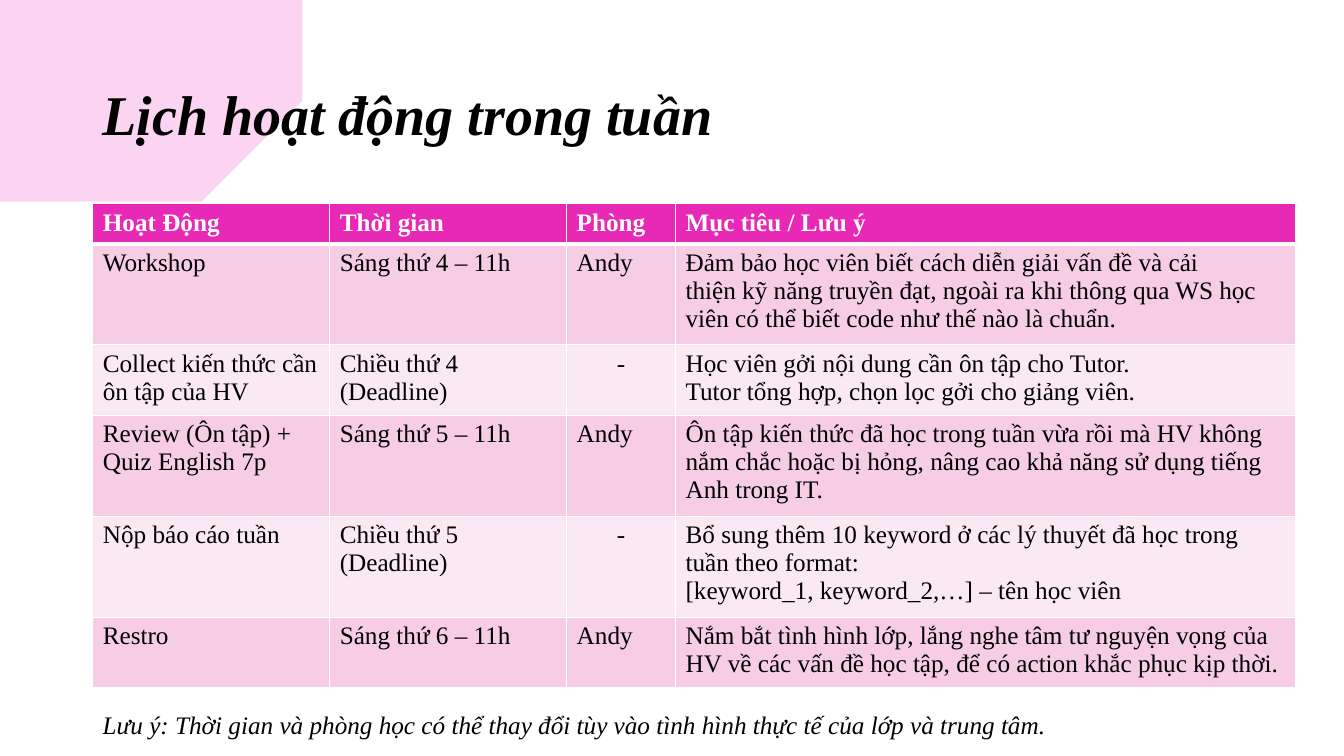
from lxml import etree
from pptx import Presentation
from pptx.dml.color import RGBColor
from pptx.enum.text import MSO_ANCHOR, PP_ALIGN
from pptx.oxml.ns import qn
from pptx.util import Inches, Pt

MIDDLE, TOP = MSO_ANCHOR.MIDDLE, MSO_ANCHOR.TOP
LEFT, CENTER = PP_ALIGN.LEFT, PP_ALIGN.CENTER

FONT = "Times New Roman"
BLACK = RGBColor(0x00, 0x00, 0x00)
WHITE = RGBColor(0xFF, 0xFF, 0xFF)
PINK = RGBColor(0xE7, 0x29, 0xB5)
ROW_DARK = RGBColor(0xF6, 0xCD, 0xE5)
ROW_LIGHT = RGBColor(0xFA, 0xE8, 0xF3)

# Outline of the brush stroke, in inches
BRUSH = [
    (0, 0.34), (0.06, 0.35), (0.25, 0.37), (0.66, 0.38), (1.02, 0.37),
    (1.51, 0.38), (1.94, 0.41), (2.48, 0.41), (2.66, 0.41), (2.75, 0.43),
    (2.8, 0.47), (2.71, 0.49), (2.55, 0.54), (2.53, 0.57), (2.56, 0.59),
    (2.62, 0.62), (2.48, 0.62), (2.38, 0.66), (2.46, 0.68), (2.56, 0.7),
    (2.66, 0.71), (2.75, 0.74), (2.51, 0.75), (2.63, 0.78), (2.73, 0.81),
    (2.76, 0.83), (2.8, 0.82), (2.84, 0.81), (2.88, 0.83), (2.9, 0.85),
    (2.87, 0.88), (2.84, 0.88), (2.63, 0.88), (2.8, 0.91), (3.3, 0.94),
    (3.21, 0.97), (3.22, 1.03), (3.18, 1.06), (3.11, 1.07), (3.07, 1.11),
    (3, 1.13), (2.83, 1.16), (2.8, 1.2), (2.78, 1.25), (2.74, 1.28),
    (3.08, 1.28), (2.9, 1.33), (2.69, 1.38), (2.73, 1.42), (2.52, 1.48),
    (2.63, 1.48), (2.45, 1.57), (2.15, 1.67), (1.97, 1.72), (1.5, 1.81),
    (1.02, 1.88), (0.65, 1.91), (0.23, 1.9), (0.07, 1.89), (0, 1.88),
]

# Each cell is a list of paragraphs; "\n" is a line break
HEADER = [["Hoạt Động"], ["Thời gian"], ["Phòng"], ["Mục tiêu / Lưu ý"]]
ACTIVITIES = [
    [["Workshop"], ["Sáng thứ 4 – 11h"], ["Andy"],
     ["Đảm bảo học viên biết cách diễn giải vấn đề và cải",
      "thiện kỹ năng truyền đạt, ngoài ra khi thông qua WS học viên "
      "có thể biết code như thế nào là chuẩn."]],
    [["Collect kiến thức cần ôn tập của HV"], ["Chiều thứ 4 (Deadline)"], ["-"],
     ["Học viên gởi nội dung cần ôn tập cho Tutor.",
      "Tutor tổng hợp, chọn lọc gởi cho giảng viên."]],
    [["Review (Ôn tập) + Quiz English 7p"], ["Sáng thứ 5 – 11h"], ["Andy"],
     ["Ôn tập kiến thức đã học trong tuần vừa rồi mà HV không nắm chắc "
      "hoặc bị hỏng, nâng cao khả năng sử dụng tiếng Anh trong IT."]],
    [["Nộp báo cáo tuần"], ["Chiều thứ 5", "(Deadline)"], ["-"],
     ["Bổ sung thêm 10 keyword ở các lý thuyết đã học trong tuần theo format:\n"
      "[keyword_1, keyword_2,…] – tên học viên"]],
    [["Restro"], ["Sáng thứ 6 – 11h"], ["Andy"],
     ["Nắm bắt tình hình lớp, lắng nghe tâm tư nguyện vọng của HV về các "
      "vấn đề học tập, để có action khắc phục kịp thời."]],
]
COLUMN_WIDTHS = [2.35, 2.35, 1.08, 6.15]
ROW_HEIGHTS = [0.4, 0.93, 0.65, 0.93, 0.93, 0.65]


def add_run(paragraph, text, size, color=BLACK, bold=False, italic=False):
    run = paragraph.add_run()
    run.text = text
    font = run.font
    font.name, font.size = FONT, Pt(size)
    font.bold, font.italic = bold, italic
    font.color.rgb = color


def add_line(slide, text, left, top, width, height, size, bold=False, anchor=TOP):
    """Add a text box with one italic line."""
    box = slide.shapes.add_textbox(
        Inches(left), Inches(top), Inches(width), Inches(height))
    frame = box.text_frame
    frame.word_wrap = True
    frame.vertical_anchor = anchor
    add_run(frame.paragraphs[0], text, size, bold=bold, italic=True)


def add_brush_stroke(slide):
    builder = slide.shapes.build_freeform(*BRUSH[0], scale=Inches(1))
    builder.add_line_segments(BRUSH[1:], close=True)
    brush = builder.convert_to_shape()
    brush.shadow.inherit = False
    brush.line.fill.background()
    brush.fill.solid()
    brush.fill.fore_color.rgb = PINK
    color = brush.fill._xPr.find(qn("a:solidFill"))[0]
    etree.SubElement(color, qn("a:alpha")).set("val", "20000")


def add_borders(cell, bottom):
    properties = cell._tc.get_or_add_tcPr()
    for side, width in (("L", 1), ("R", 1), ("T", 1), ("B", bottom)):
        line = etree.SubElement(properties, qn(f"a:ln{side}"), w=str(Pt(width)))
        fill = etree.SubElement(line, qn("a:solidFill"))
        etree.SubElement(fill, qn("a:srgbClr"), val=str(WHITE))


def fill_cell(cell, paragraphs, background, is_header):
    add_borders(cell, 3 if is_header else 1)
    cell.fill.solid()
    cell.fill.fore_color.rgb = background
    frame = cell.text_frame
    for index, text in enumerate(paragraphs):
        paragraph = frame.add_paragraph() if index else frame.paragraphs[0]
        paragraph.alignment = CENTER if text == "-" else LEFT
        for number, part in enumerate(text.split("\n")):
            if number:
                paragraph.add_line_break()
            add_run(paragraph, part, 18, WHITE if is_header else BLACK, is_header)


def add_schedule(slide):
    rows = [HEADER] + ACTIVITIES
    table = slide.shapes.add_table(
        len(rows), len(HEADER), Inches(0.92), Inches(2.02),
        Inches(sum(COLUMN_WIDTHS)), Inches(sum(ROW_HEIGHTS))).table
    for column, width in zip(table.columns, COLUMN_WIDTHS):
        column.width = Inches(width)
    for r, (cells, height) in enumerate(zip(rows, ROW_HEIGHTS)):
        table.rows[r].height = Inches(height)
        background = PINK if r == 0 else ROW_DARK if r % 2 else ROW_LIGHT
        for c, paragraphs in enumerate(cells):
            fill_cell(table.cell(r, c), paragraphs, background, r == 0)


def main():
    prs = Presentation()
    prs.slide_width, prs.slide_height = Inches(13.33), Inches(7.5)
    slide = prs.slides.add_slide(prs.slide_layouts[6])

    # Heading over the brush stroke
    add_brush_stroke(slide)
    add_line(slide, "Lịch hoạt động trong tuần", 0.92, 0.4, 11.5, 1.45,
             40, bold=True, anchor=MIDDLE)

    # Weekly schedule
    add_schedule(slide)

    # Closing note
    add_line(slide, "Lưu ý: Thời gian và phòng học có thể thay đổi tùy vào "
             "tình hình thực tế của lớp và trung tâm.",
             0.92, 6.99, 11.34, 0.4, 18)

    prs.save("out.pptx")


if __name__ == "__main__":
    main()
